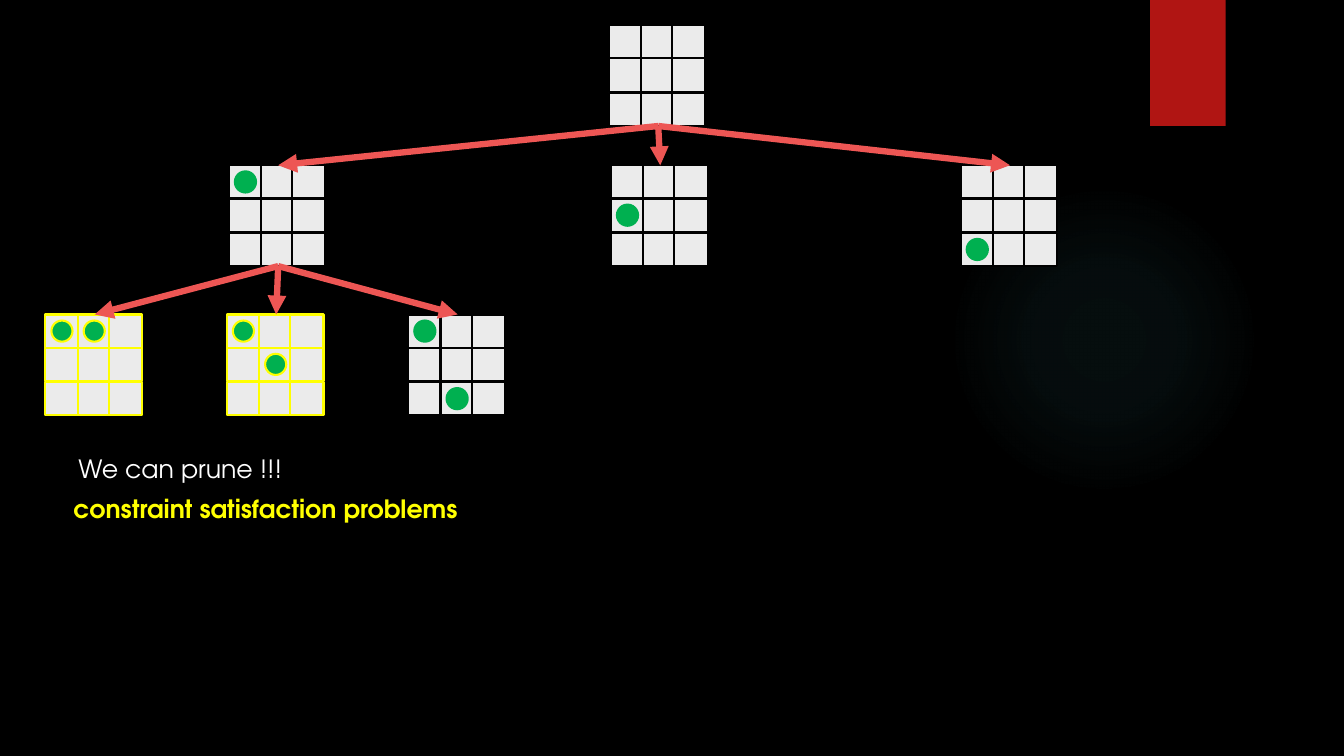
from pptx import Presentation, util as u
from pptx.dml.color import RGBColor
from pptx.enum import shapes, text
from pptx.oxml import parse_xml
from pptx.oxml.ns import nsdecls, qn
from lxml import etree

PX = u.Inches(1) // 100  # 100 px to the inch
BLACK = RGBColor(0x00, 0x00, 0x00)
WHITE = RGBColor(0xFF, 0xFF, 0xFF)
YELLOW = RGBColor(0xFF, 0xFF, 0x00)
GREEN = RGBColor(0x00, 0xB0, 0x50)
CELL_GREY = RGBColor(0xEB, 0xEB, 0xEB)
CORAL = RGBColor(0xED, 0x56, 0x54)
RED = RGBColor(0xB0, 0x15, 0x13)
FONT = "TeX Gyre Adventor"

prs = Presentation()
prs.slide_width, prs.slide_height = u.Inches(13.333), u.Inches(7.5)
slide = prs.slides.add_slide(prs.slide_layouts[6])
slide.background.fill.solid()
slide.background.fill.fore_color.rgb = BLACK


def add_figure(kind, x, y, w, h, fill, line=None):
    figure = slide.shapes.add_shape(kind, x * PX, y * PX, w * PX, h * PX)
    figure.shadow.inherit = False
    figure.fill.solid()
    figure.fill.fore_color.rgb = fill
    if line is None:
        figure.line.fill.background()
    else:
        figure.line.color.rgb = line
        figure.line.width = u.Pt(1.5)
    return figure


def add_caption(wording, x, y, w, h, color=WHITE, bold=False, size=18):
    caption = slide.shapes.add_textbox(x * PX, y * PX, w * PX, h * PX)
    frame = caption.text_frame
    frame.word_wrap = False
    frame.auto_size = text.MSO_AUTO_SIZE.SHAPE_TO_FIT_TEXT
    run = frame.paragraphs[0].add_run()
    run.text = wording
    run.font.name, run.font.size = FONT, u.Pt(size)
    run.font.bold, run.font.color.rgb = bold, color


RECT, OVAL = shapes.MSO_SHAPE.RECTANGLE, shapes.MSO_SHAPE.OVAL

# Backdrop: soft teal glow and red tab
glow = add_figure(OVAL, 941, 183, 308, 308, BLACK)
stops = "".join(
    f'<a:gs pos="{pos * 1000}"><a:srgbClr val="50B9C1"><a:alpha val="{alpha * 1000}"/></a:srgbClr></a:gs>'
    for pos, alpha in ((0, 7), (36, 6), (69, 0), (100, 0)))
solid = glow._element.spPr.find(qn("a:solidFill"))
solid.getparent().replace(solid, parse_xml(
    f'<a:gradFill {nsdecls("a")} rotWithShape="1"><a:gsLst>{stops}</a:gsLst><a:path path="circle">'
    '<a:fillToRect l="50000" t="50000" r="50000" b="50000"/></a:path></a:gradFill>'))
add_figure(RECT, 1141, 0, 75, 125, RED)

# Search tree: left, top, queens as (column, row), pruned, parent
boards = [
    (604, 25, [], False, None),
    (227, 164, [(0, 0)], False, 0),
    (606, 164, [(0, 1)], False, 0),
    (953, 164, [(0, 2)], False, 0),
    (45, 312, [(0, 0), (1, 0)], True, 1),
    (225, 312, [(0, 0), (1, 1)], True, 1),
    (405, 312, [(0, 0), (1, 2)], False, 1),
]
COLUMNS, ROWS = (0, 32, 63), (0, 33, 67)
CELL, QUEEN, QUEEN_INSET = 33, 21, 6
BOARD_MIDDLE, BOARD_HEIGHT = 49, 100

for left, top, queens, pruned, parent in boards:
    for row in ROWS:
        for column in COLUMNS:
            add_figure(RECT, left + column, top + row, CELL, CELL, CELL_GREY,
                       YELLOW if pruned else BLACK)
    for column, row in queens:
        add_figure(OVAL, left + COLUMNS[column] + QUEEN_INSET, top + ROWS[row] + QUEEN_INSET,
                   QUEEN, QUEEN, GREEN, YELLOW if pruned else GREEN)

# Arrows from each parent board to its children
for left, top, queens, pruned, parent in boards[1:]:
    parent_left, parent_top = boards[parent][:2]
    branch = slide.shapes.add_connector(
        shapes.MSO_CONNECTOR.STRAIGHT,
        (parent_left + BOARD_MIDDLE) * PX, (parent_top + BOARD_HEIGHT) * PX,
        (left + BOARD_MIDDLE) * PX, top * PX)
    branch.line.color.rgb = CORAL
    branch.line.width = u.Pt(4.5)
    etree.SubElement(branch.line._get_or_add_ln(), qn("a:tailEnd"), type="triangle")
    etree.SubElement(branch._element.spPr, qn("a:effectLst"))

# Captions
add_caption("We can prune !!!", 68, 445, 230, 40)
add_caption("constraint satisfaction problems", 63, 484, 406, 40, color=YELLOW, bold=True)

prs.save("out.pptx")
